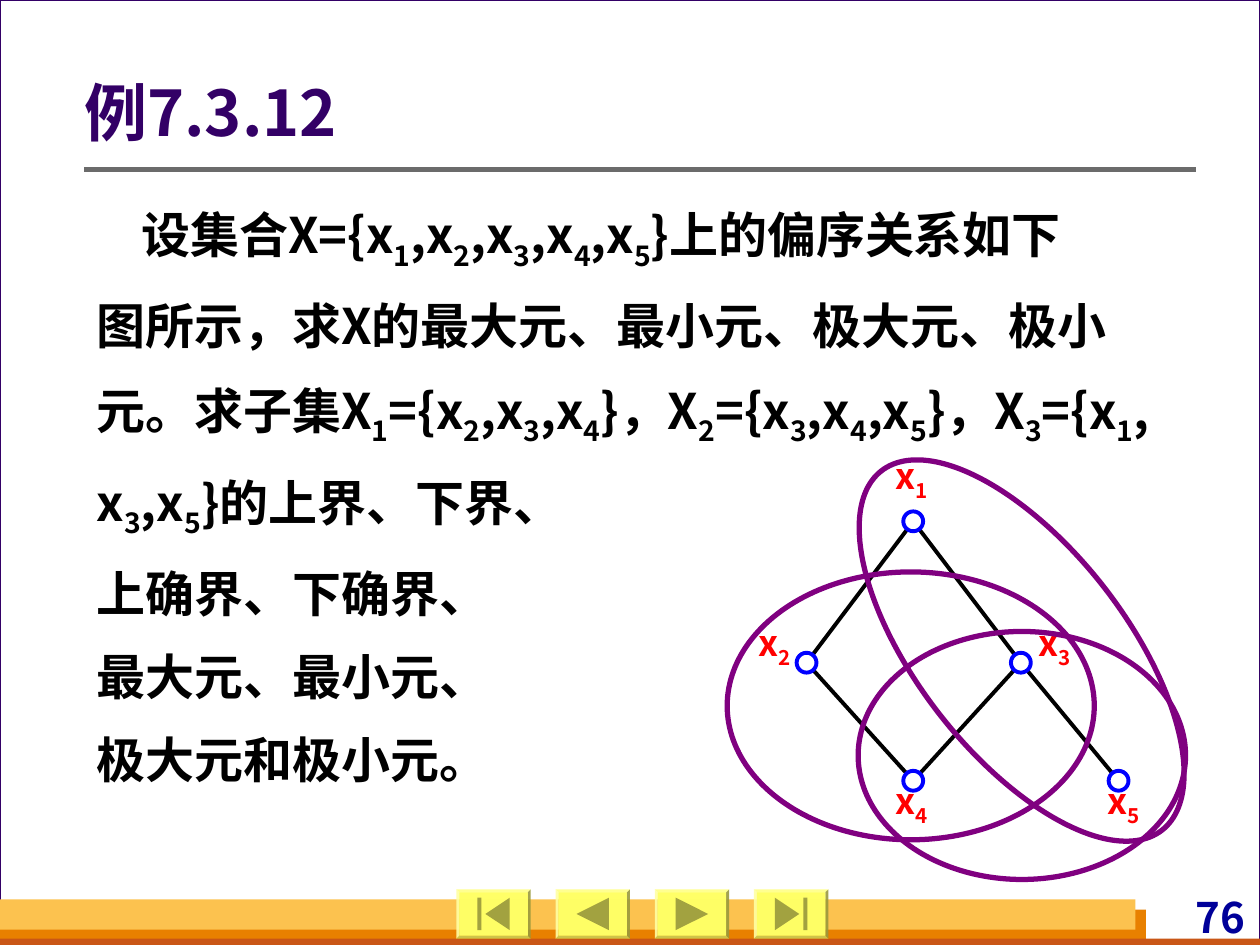
from lxml import etree
from pptx import Presentation
from pptx.dml.color import RGBColor
from pptx.enum.shapes import MSO_CONNECTOR, MSO_SHAPE
from pptx.enum.text import MSO_ANCHOR, PP_ALIGN
from pptx.oxml.ns import qn
from pptx.util import Cm, Pt

RECT, OVAL, BEVEL = MSO_SHAPE.RECTANGLE, MSO_SHAPE.OVAL, MSO_SHAPE.BEVEL
LINE = MSO_CONNECTOR.STRAIGHT
LEFT, RIGHT, CENTER = PP_ALIGN.LEFT, PP_ALIGN.RIGHT, PP_ALIGN.CENTER
TOP, MIDDLE = MSO_ANCHOR.TOP, MSO_ANCHOR.MIDDLE
FONT = "Noto Sans CJK SC"

BARS = [
    (0, 0, 25.4, 19.05, "FFFFFF", "330066"),
    (0, 18.34, 23.1, 0.71, "E88000", None),
    (0, 18.92, 25.4, 0.13, "C95616", None),
    (0, 18.13, 22.89, 0.61, "FCC24F", None),
]
BUTTONS = [
    MSO_SHAPE.ACTION_BUTTON_BEGINNING,
    MSO_SHAPE.ACTION_BUTTON_BACK_OR_PREVIOUS,
    MSO_SHAPE.ACTION_BUTTON_FORWARD_OR_NEXT,
    MSO_SHAPE.ACTION_BUTTON_END,
]
BODY = [
    "设集合X={x_1,x_2,x_3,x_4,x_5}上的偏序关系如下",
    "图所示，求X的最大元、最小元、极大元、极小",
    "元。求子集X_1={x_2,x_3,x_4}，X_2={x_3,x_4,x_5}，X_3={x_1,",
    "x_3,x_5}的上界、下界、",
    "上确界、下确界、",
    "最大元、最小元、",
    "极大元和极小元。",
]
NODES = {
    "x_1": (18.41, 10.51),
    "x_2": (16.26, 13.36),
    "x_3": (20.58, 13.36),
    "x_4": (18.41, 15.74),
    "x_5": (22.55, 15.74),
}
LABELS = {
    "x_1": (17.94, 9.17),
    "x_2": (15.17, 12.52),
    "x_3": (20.81, 12.52),
    "x_4": (17.94, 15.72),
    "x_5": (22.2, 15.72),
}
EDGES = [("x_1", "x_2"), ("x_1", "x_3"), ("x_2", "x_4"),
         ("x_3", "x_4"), ("x_3", "x_5")]
SETS = [
    (14.66, 11.53, 7.4, 5.4, 0),
    (17.3, 12.73, 6.6, 5, 0),
    (16, 11.02, 9.19, 4.19, 52),
]


def tint(code):
    """Turn a hex string into a colour."""
    return RGBColor.from_string(code)


def add_form(shapes, kind, x, y, w, h, fill=None, line=None, width=0.75):
    """Add a preset shape with an optional fill and outline."""
    form = shapes.add_shape(kind, Cm(x), Cm(y), Cm(w), Cm(h))
    form.shadow.inherit = False
    if fill:
        form.fill.solid()
        form.fill.fore_color.rgb = tint(fill)
    else:
        form.fill.background()
    if line:
        form.line.color.rgb = tint(line)
        form.line.width = Pt(width)
    else:
        form.line.fill.background()
    return form


def add_line(shapes, start, end, color, width):
    """Add a straight line between two points."""
    line = shapes.add_connector(LINE, *map(Cm, start + end))
    line.line.color.rgb = tint(color)
    line.line.width = Pt(width)
    etree.SubElement(line._element.spPr, qn("a:effectLst"))


def add_run(para, text, size, color, sub):
    """Add a bold run, lowered if it is a subscript."""
    run = para.add_run()
    run.text = text
    font = run.font
    font.size, font.bold, font.name = Pt(size), True, FONT
    font.color.rgb = tint(color)
    props = run._r.get_or_add_rPr()
    etree.SubElement(props, qn("a:ea")).set("typeface", FONT)
    if sub:
        props.set("baseline", "-25000")


def add_text(shapes, x, y, w, h, lines, size, color, align=LEFT,
             anchor=TOP, pads=(0, 0, 0, 0), space=0.9, gap=0):
    """Add a text box where an underscore marks a one-digit subscript."""
    box = shapes.add_textbox(Cm(x), Cm(y), Cm(w), Cm(h))
    frame = box.text_frame
    frame.word_wrap = True
    frame.vertical_anchor = anchor
    (frame.margin_left, frame.margin_top,
     frame.margin_right, frame.margin_bottom) = map(Cm, pads)
    for i, line in enumerate(lines):
        para = frame.add_paragraph() if i else frame.paragraphs[0]
        para.alignment, para.line_spacing = align, space
        if i:
            para.space_before = Pt(gap)
        head, *parts = line.split("_")
        add_run(para, head, size, color, False)
        for part in parts:
            add_run(para, part[0], size, color, True)
            if part[1:]:
                add_run(para, part[1:], size, color, False)
    return box


def add_button(shapes, kind, x):
    """Add a bevelled, slightly see-through navigation button."""
    rim = 0.06
    base = add_form(shapes, BEVEL, x, 17.93, 1.5, 0.99, "FFFF66")
    base.adjustments[0] = rim / 0.99
    icon = add_form(shapes, kind, x + rim, 17.93 + rim,
                    1.5 - 2 * rim, 0.99 - 2 * rim, "FFFF66")
    for form in (base, icon):
        color = form._element.spPr.find(".//" + qn("a:srgbClr"))
        etree.SubElement(color, qn("a:alpha")).set("val", "90000")


def add_frame(shapes):
    """Add the page, footer bars, buttons, number and title rule."""
    for x, y, w, h, fill, line in BARS:
        add_form(shapes, RECT, x, y, w, h, fill, line)
    add_text(shapes, 21.52, 17.98, 3.68, 1.02, ["76"], 24, "000099",
             RIGHT, pads=(0.1, 0, 0.1, 0), space=1.0)
    add_line(shapes, (1.7, 3.42), (24.1, 3.42), "6B6B6B", 3)
    for i, kind in enumerate(BUTTONS):
        add_button(shapes, kind, 9.2 + 2 * i)


def add_graph(shapes):
    """Add the Hasse diagram with its labels, edges and nodes."""
    for name, (x, y) in LABELS.items():
        add_text(shapes, x, y, 0.89, 1.02, [name], 20.4, "FF0000", CENTER)
    for start, end in EDGES:
        add_line(shapes, NODES[start], NODES[end], "000000", 2.25)
    for x, y in NODES.values():
        add_form(shapes, OVAL, x - 0.2, y - 0.2, 0.4, 0.4,
                 "FFFFFF", "0000FF", 2.25)


def main():
    """Build and save the slide."""
    deck = Presentation()
    deck.slide_width, deck.slide_height = Cm(25.4), Cm(19.05)
    slide = deck.slides.add_slide(deck.slide_layouts[6])
    slide.background.fill.solid()
    slide.background.fill.fore_color.rgb = tint("D8DADA")
    shapes = slide.shapes
    add_frame(shapes)
    body = add_text(shapes, 1.7, 3.73, 22.4, 15.32, BODY, 28, "000000",
                    pads=(0.25, 0.13, 0.25, 0.13), space=1.2, gap=7)
    first = body.text_frame.paragraphs[0]._p.get_or_add_pPr()
    first.set("indent", str(Cm(0.9)))
    add_text(shapes, 1.7, 1.52, 22.4, 1.63, ["例7.3.12"], 36, "330066",
             anchor=MIDDLE, pads=(0, 0.13, 0.25, 0.13))
    add_graph(shapes.add_group_shape().shapes)
    for x, y, w, h, turn in SETS:
        ring = add_form(shapes, OVAL, x, y, w, h, None, "800080", 3)
        ring.rotation = turn
    deck.save("out.pptx")


if __name__ == "__main__":
    main()
